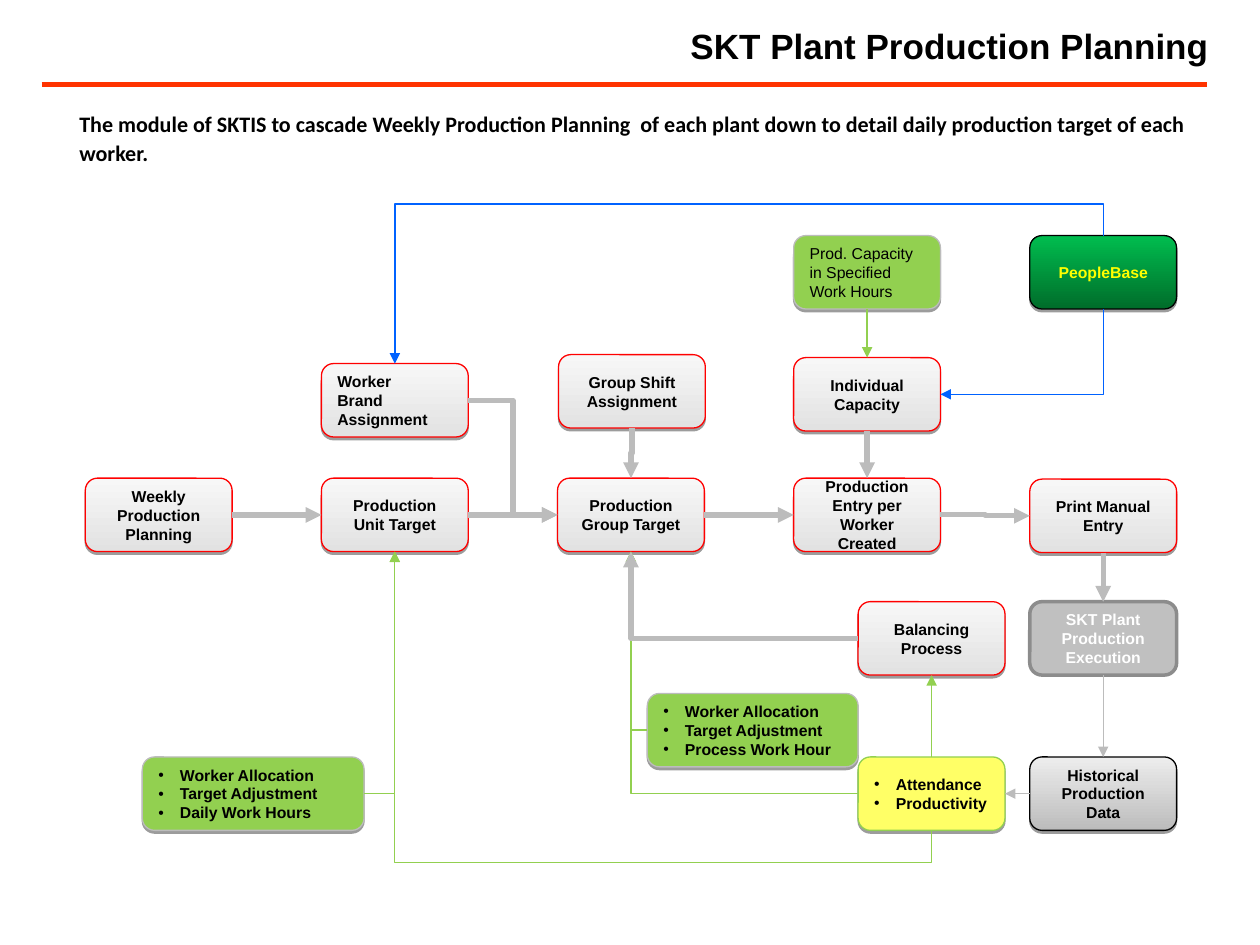
from lxml import etree
from pptx import Presentation
from pptx.dml.color import RGBColor
from pptx.enum.shapes import MSO_CONNECTOR, MSO_SHAPE
from pptx.enum.text import MSO_ANCHOR, PP_ALIGN
from pptx.oxml.ns import qn
from pptx.util import Cm, Pt

STRAIGHT, ELBOW = MSO_CONNECTOR.STRAIGHT, MSO_CONNECTOR.ELBOW
ROUNDED = MSO_SHAPE.ROUNDED_RECTANGLE
LEFT, CENTER, RIGHT = PP_ALIGN.LEFT, PP_ALIGN.CENTER, PP_ALIGN.RIGHT
MIDDLE = MSO_ANCHOR.MIDDLE
TOP_SIDE, LEFT_SIDE, BOTTOM_SIDE, RIGHT_SIDE = range(4)

BLACK = RGBColor(0x00, 0x00, 0x00)
WHITE = RGBColor(0xFF, 0xFF, 0xFF)
ORANGE = RGBColor(0xFF, 0x33, 0x00)
RED = RGBColor(0xFF, 0x00, 0x00)
BLUE = RGBColor(0x00, 0x62, 0xFF)
GREEN = RGBColor(0x92, 0xD0, 0x50)
DARK_GREEN = RGBColor(0x00, 0x6D, 0x2A)
BRIGHT_GREEN = RGBColor(0x00, 0xBD, 0x4F)
YELLOW = RGBColor(0xFF, 0xFF, 0x00)
PALE_YELLOW = RGBColor(0xFF, 0xFF, 0x66)
GRAY = RGBColor(0xBC, 0xBC, 0xBC)
SILVER = RGBColor(0xC0, 0xC0, 0xC0)
DARK_GRAY = RGBColor(0x8C, 0x8C, 0x8C)
LIGHT_GRAY = RGBColor(0xE2, 0xE2, 0xE2)
MIST = RGBColor(0xED, 0xED, 0xED)
NEAR_WHITE = RGBColor(0xF7, 0xF7, 0xF7)

BOX_WIDTH, BOX_HEIGHT = 2.96, 1.48
COLUMNS = [4.76 * column for column in range(5)]
SIDE_COLUMN = 15.58
ROWS = [0, 2.46, 4.89, 7.38, 10.51]
DETOUR = Cm(0.64)

STYLES = {
    "step": ([LIGHT_GRAY, NEAR_WHITE], RED, BLACK),
    "history": ([GRAY, MIST], BLACK, BLACK),
    "system": ([DARK_GREEN, BRIGHT_GREEN], BLACK, YELLOW),
    "input": ([GREEN], GRAY, BLACK),
    "result": ([PALE_YELLOW], GREEN, BLACK),
    "execution": ([SILVER], DARK_GRAY, WHITE),
}


def format_text(paragraph, size, font_name, color, bold=True):
    """Format every run of a paragraph."""
    for run in paragraph.runs:
        run.font.size, run.font.name, run.font.bold = Pt(size), font_name, bold
        run.font.color.rgb = color


def add_bullet(paragraph):
    """Give a paragraph a hanging round bullet."""
    properties = paragraph._p.get_or_add_pPr()
    properties.set("marL", str(Pt(12.4)))
    properties.set("indent", str(-Pt(12.4)))
    etree.SubElement(properties, qn("a:buFont"), typeface="Arial")
    etree.SubElement(properties, qn("a:buChar"), char="•")


def add_drop_shadow(shape):
    """Give a shape a sharp shadow just below it."""
    effects = shape._element.spPr.find(qn("a:effectLst"))
    shadow = etree.SubElement(effects, qn("a:outerShdw"), blurRad="0",
                              dist=str(Pt(1.6)), dir="5400000", rotWithShape="0")
    color = etree.SubElement(shadow, qn("a:srgbClr"), val=str(BLACK))
    etree.SubElement(color, qn("a:alpha"), val="38000")


def add_box(slide, left, top, text, style="step", width=BOX_WIDTH,
            alignment=CENTER, bullets=False, bold=True):
    """Add one rounded box of the flow."""
    fills, line_color, text_color = STYLES[style]
    shape = slide.shapes.add_shape(ROUNDED, Cm(left), Cm(top), Cm(width), Cm(BOX_HEIGHT))
    if len(fills) == 1:
        shape.fill.solid()
        shape.fill.fore_color.rgb = fills[0]
    else:
        shape.fill.gradient()
        shape.fill.gradient_angle = 90
        for stop, color in zip(shape.fill.gradient_stops, fills):
            stop.color.rgb = color
    shape.line.color.rgb = line_color
    shape.line.width = Pt(2 if style == "execution" else 0.75)
    shape.shadow.inherit = False
    if style != "execution":
        add_drop_shadow(shape)
    shape.text_frame.text = text
    shape.text_frame.word_wrap = True
    shape.text_frame.vertical_anchor = MIDDLE
    for paragraph in shape.text_frame.paragraphs:
        paragraph.alignment = LEFT if bullets else alignment
        if bullets:
            add_bullet(paragraph)
        format_text(paragraph, 9, "Arial", text_color, bold)
    return shape


def style_connector(connector, color, width, arrow=True):
    """Set the line of a connector and remove its shadow."""
    connector.line.color.rgb = color
    connector.line.width = Pt(width)
    if arrow:
        etree.SubElement(connector.line._get_or_add_ln(), qn("a:tailEnd"), type="triangle")
    etree.SubElement(connector._element.spPr, qn("a:effectLst"))


def add_straight(slide, start, start_side, end, end_side, color=GRAY, width=3):
    """Join two boxes with a straight arrow."""
    connector = slide.shapes.add_connector(STRAIGHT, 0, 0, 0, 0)
    connector.begin_connect(start, start_side)
    connector.end_connect(end, end_side)
    style_connector(connector, color, width)


def side_point(shape, side):
    """Return the middle of one side of a box."""
    across = {LEFT_SIDE: 0, RIGHT_SIDE: 2}.get(side, 1)
    down = {TOP_SIDE: 0, BOTTOM_SIDE: 2}.get(side, 1)
    return shape.left + shape.width * across // 2, shape.top + shape.height * down // 2


def add_elbow(slide, start, start_side, end, end_side, color=GRAY, width=3, detour=0):
    """Join two boxes with a bent arrow, one bend when the sides are at right angles."""
    begin_x, begin_y = side_point(start, start_side)
    end_x, end_y = side_point(end, end_side)
    vertical = start_side in (TOP_SIDE, BOTTOM_SIDE)
    run, rise = end_x - begin_x, end_y - begin_y
    if vertical:
        middle_x, middle_y = (begin_x + end_x) // 2, (begin_y + end_y) // 2
        begin_x, end_x = middle_x - rise // 2, middle_x + rise // 2
        begin_y, end_y = middle_y + run // 2, middle_y - run // 2
    connector = slide.shapes.add_connector(ELBOW, begin_x, begin_y, end_x, end_y)
    properties = connector._element.spPr
    geometry = properties.find(qn("a:prstGeom"))
    if vertical:
        properties.find(qn("a:xfrm")).set("rot", "5400000")
    if start_side % 2 != end_side % 2:
        geometry.set("prst", "bentConnector2")
    elif detour:
        ratio = round(-100000 * detour / abs(rise))
        etree.SubElement(geometry.find(qn("a:avLst")), qn("a:gd"),
                         name="adj1", fmla=f"val {ratio}")
    style_connector(connector, color, width)


def add_header(slide, left, top, width):
    """Place the title, the rule below it and the introduction."""
    title = slide.shapes.title
    title.left, title.top = Cm(left + 6.88), Cm(top)
    title.width, title.height = Cm(width - 6.6), Cm(1.52)
    title.text_frame.text = "SKT Plant Production Planning"
    title.text_frame.vertical_anchor = MIDDLE
    title.text_frame.paragraphs[0].alignment = RIGHT
    format_text(title.text_frame.paragraphs[0], 20, "Arial", BLACK)
    rule_top = Cm(top + 1.55)
    rule = slide.shapes.add_connector(STRAIGHT, Cm(left), rule_top, Cm(left + width), rule_top)
    style_connector(rule, ORANGE, 3, arrow=False)
    introduction = slide.shapes.add_textbox(Cm(left + 0.51), Cm(top + 1.9), Cm(22.86), Cm(1.45))
    introduction.text_frame.word_wrap = True
    introduction.text_frame.text = (
        "The module of SKTIS to cascade Weekly Production Planning  of each plant "
        "down to detail daily production target of each worker.")
    paragraph = introduction.text_frame.paragraphs[0]
    paragraph.line_spacing = 1.1
    format_text(paragraph, 12.6, "Calibri", BLACK)


def add_flow(slide, left, top):
    """Place the planning boxes and the arrows between them."""
    x = [left + column for column in COLUMNS]
    y = [top + row for row in ROWS]
    side_x = left + SIDE_COLUMN
    weekly = add_box(slide, x[0], y[2], "Weekly Production Planning")
    unit = add_box(slide, x[1], y[2], "Production\nUnit Target")
    group = add_box(slide, x[2], y[2], "Production Group Target")
    entry = add_box(slide, x[3], y[2], "Production Entry per Worker Created")
    manual = add_box(slide, x[4], y[2] + 0.02, "Print Manual Entry")
    brand = add_box(slide, x[1], y[1] + 0.12, "Worker\nBrand Assignment", alignment=LEFT)
    shift = add_box(slide, x[2] + 0.02, y[1] - 0.06, "Group Shift Assignment")
    individual = add_box(slide, x[3], y[1], "Individual Capacity")
    capacity = add_box(slide, x[3], y[0], "Prod. Capacity\nin Specified\nWork Hours",
                       "input", alignment=LEFT, bold=False)
    people = add_box(slide, x[4], y[0], "PeopleBase", "system")
    execution = add_box(slide, x[4], y[3], "SKT Plant\nProduction Execution", "execution")
    balancing = add_box(slide, side_x, y[3], "Balancing Process")
    history = add_box(slide, x[4], y[4], "Historical Production Data", "history")
    daily = add_box(slide, left + 1.15, y[4],
                    "Worker Allocation\nTarget Adjustment\nDaily Work Hours",
                    "input", 4.47, bullets=True)
    process = add_box(slide, left + 11.33, y[4] - 1.28,
                      "Worker Allocation\nTarget Adjustment\nProcess Work Hour",
                      "input", 4.25, bullets=True)
    attendance = add_box(slide, side_x, y[4], "Attendance\nProductivity", "result", bullets=True)

    for start, end in ((weekly, unit), (unit, group), (group, entry)):
        add_straight(slide, start, RIGHT_SIDE, end, LEFT_SIDE)
    for start, end, color, width in ((capacity, individual, GREEN, 0.75),
                                     (individual, entry, GRAY, 3),
                                     (manual, execution, GRAY, 3),
                                     (execution, history, GRAY, 0.75)):
        add_straight(slide, start, BOTTOM_SIDE, end, TOP_SIDE, color, width)
    add_straight(slide, history, LEFT_SIDE, attendance, RIGHT_SIDE, GRAY, 0.75)
    add_straight(slide, attendance, TOP_SIDE, balancing, BOTTOM_SIDE, GREEN, 0.75)

    for start, side, end in ((attendance, LEFT_SIDE, group), (process, LEFT_SIDE, group),
                             (daily, RIGHT_SIDE, unit)):
        add_elbow(slide, start, side, end, BOTTOM_SIDE, GREEN, 0.75)
    add_elbow(slide, attendance, BOTTOM_SIDE, unit, BOTTOM_SIDE, GREEN, 0.75, DETOUR)
    add_elbow(slide, people, TOP_SIDE, brand, TOP_SIDE, BLUE, 0.75, DETOUR)
    add_elbow(slide, people, BOTTOM_SIDE, individual, RIGHT_SIDE, BLUE, 0.75)
    add_elbow(slide, balancing, LEFT_SIDE, group, BOTTOM_SIDE)
    add_elbow(slide, brand, RIGHT_SIDE, group, LEFT_SIDE)
    add_elbow(slide, shift, BOTTOM_SIDE, group, TOP_SIDE)
    add_elbow(slide, entry, RIGHT_SIDE, manual, LEFT_SIDE)


def main():
    """Build and save the slide."""
    presentation = Presentation()
    presentation.slide_width, presentation.slide_height = Cm(25.4), Cm(19.05)
    slide = presentation.slides.add_slide(presentation.slide_layouts[5])
    add_header(slide, 0.84, 0.15, 23.5)
    add_flow(slide, 1.72, 4.75)
    presentation.save("out.pptx")


if __name__ == "__main__":
    main()
